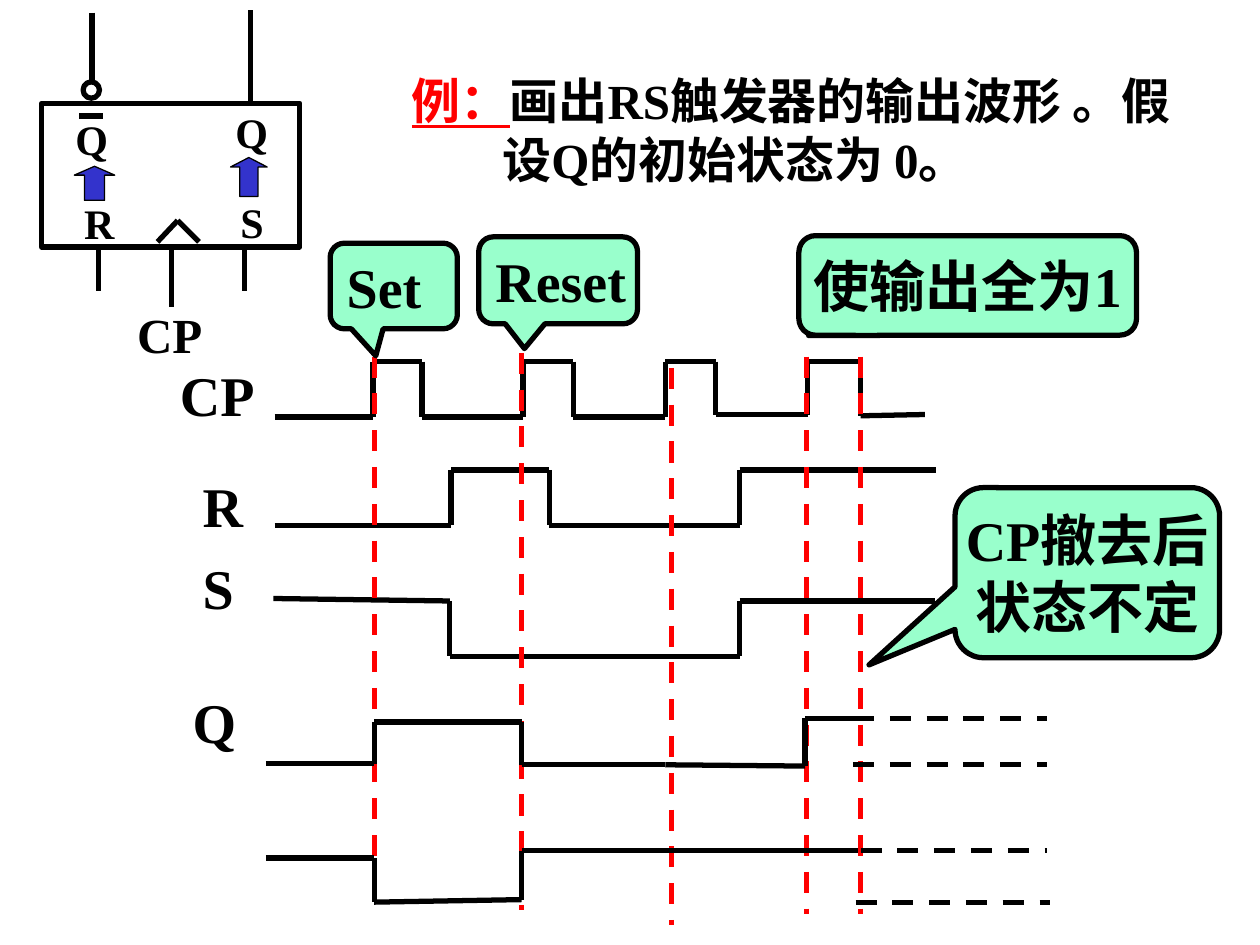
from itertools import pairwise
from lxml import etree
from pptx import Presentation
from pptx.dml.color import RGBColor
from pptx.enum.dml import MSO_LINE
from pptx.enum.shapes import MSO_CONNECTOR, MSO_SHAPE
from pptx.enum.text import MSO_ANCHOR, PP_ALIGN
from pptx.oxml.ns import qn
from pptx.util import Inches, Pt

COLORS = {"ink": "000000", "red": "FF0000", "mint": "99FFCC", "blue": "3333CC"}
FONT = "Times New Roman"

TITLE = [("例：", "red"), ("画出RS触发器的输出波形 。假设Q的初始状态为 0。", "ink")]
TITLE_BOX = (3.17, 0.51, 6.42, 1.04)

LABELS = [
    ("CP", 32, (1.33, 2.81, 1.08, 0.64)),
    ("R", 32, (1.51, 3.69, 1, 0.64)),
    ("S", 32, (1.51, 4.34, 0.55, 0.64)),
    ("Q", 32, (1.43, 5.41, 0.6, 0.64)),
    ("Q", 24, (0.5, 0.85, 0.51, 0.5)),
    ("Q", 24, (1.77, 0.8, 0.51, 0.5)),
    ("R", 24, (0.57, 1.52, 0.49, 0.5)),
    ("S", 24, (1.81, 1.51, 0.49, 0.5)),
    ("CP", 28, (0.99, 2.37, 0.72, 0.57)),
]

INPUT_WAVES = {
    "CP": [(2.18, 3.31), (2.96, 3.31), (2.96, 2.87), (3.35, 2.87), (3.35, 3.31),
           (4.15, 3.31), (4.15, 2.87), (4.55, 2.87), (4.55, 3.31), (5.28, 3.31),
           (5.28, 2.87), (5.68, 2.87), (5.68, 3.29), (6.41, 3.29), (6.41, 2.87),
           (6.83, 2.87), (6.83, 3.3), (7.34, 3.29)],
    "R": [(2.18, 4.17), (3.58, 4.17), (3.58, 3.73), (4.36, 3.73), (4.36, 4.17),
          (5.87, 4.17), (5.87, 3.73), (7.43, 3.73)],
    "S": [(2.17, 4.75), (3.57, 4.77), (3.57, 5.21), (5.87, 5.21), (5.87, 4.77),
          (7.42, 4.77)],
}
OUTPUT_WAVES = {
    "Q": [(2.11, 6.06), (2.97, 6.06), (2.97, 5.73), (4.14, 5.73), (4.14, 6.07),
          (5.28, 6.07), (6.39, 6.08), (6.39, 5.7), (6.81, 5.7)],
    "Q inverse": [(2.11, 6.81), (2.97, 6.81), (2.97, 7.16), (4.14, 7.14),
                  (4.14, 6.75), (5.33, 6.75), (6.81, 6.75)],
}
UNDEFINED_LEVELS = [(6.77, 5.7, 8.31), (6.77, 6.07, 8.31),
                    (6.83, 6.75, 8.31), (6.79, 7.16, 8.33)]
CLOCK_EDGES = [(2.97, 2.83, 7.14), (4.14, 2.8, 7.22), (5.33, 2.92, 7.34),
               (6.4, 2.83, 7.25), (6.83, 2.83, 7.25)]

CALLOUTS = [
    (["Set"], (2.62, 1.93, 1.01, 0.68), (-0.141, 0.815), PP_ALIGN.LEFT),
    (["Reset"], (3.8, 1.88, 1.26, 0.69), (-0.212, 0.785), PP_ALIGN.LEFT),
    (["使输出全为1"], (6.34, 1.87, 2.68, 0.79), (-0.471, 0.504), PP_ALIGN.CENTER),
    (["CP撤去后", "状态不定"], (7.58, 3.87, 2.1, 1.35), (-0.825, 0.542), PP_ALIGN.CENTER),
]

FLIP_FLOP_BODY = (0.33, 0.82, 2.05, 1.14)
INVERTER_BUBBLE = (0.66, 0.65, 0.13, 0.13)
OUTPUT_ARROWS = [(1.83, 1.25, 0.29, 0.31), (0.59, 1.32, 0.32, 0.27)]
FLIP_FLOP_WIRES = [
    [(0.63, 0.92), (0.82, 0.92)],
    [(0.73, 0.1), (0.73, 0.64)],
    [(1.99, 0.08), (1.99, 0.84)],
    [(0.78, 1.96), (0.78, 2.31)],
    [(1.36, 1.98), (1.36, 2.44)],
    [(1.94, 1.95), (1.94, 2.31)],
    [(1.25, 1.92), (1.41, 1.75), (1.58, 1.92)],
]

prs = Presentation()
prs.slide_width, prs.slide_height = Inches(10), Inches(7.5)
shapes = prs.slides.add_slide(prs.slide_layouts[6]).shapes


def rgb(color):
    return RGBColor.from_string(COLORS[color])


def style(font, size, color="ink"):
    font.name, font.size, font.bold = FONT, Pt(size), True
    font.color.rgb = rgb(color)


def add_path(points, color="ink", dashed=False):
    for start, end in pairwise(points):
        line = shapes.add_connector(MSO_CONNECTOR.STRAIGHT, *map(Inches, start + end))
        line.line.color.rgb = rgb(color)
        line.line.width = Pt(3)
        if dashed:
            line.line.dash_style = MSO_LINE.DASH
        etree.SubElement(line._element.spPr, qn("a:effectLst"))


def add_preset(preset, box, fill=None, width=3):
    shape = shapes.add_shape(preset, *map(Inches, box))
    shape.shadow.inherit = False
    if fill:
        shape.fill.solid()
        shape.fill.fore_color.rgb = rgb(fill)
    else:
        shape.fill.background()
    shape.line.color.rgb = rgb("ink")
    shape.line.width = Pt(width)
    return shape


def add_text(box):
    frame = shapes.add_textbox(*map(Inches, box)).text_frame
    frame.word_wrap = True
    return frame


title = add_text(TITLE_BOX).paragraphs[0]
indent = Inches(0.72)
title._p.get_or_add_pPr().set("marL", str(indent))
title._p.get_or_add_pPr().set("indent", str(-indent))
for words, color in TITLE:
    run = title.add_run()
    run.text = words
    style(run.font, 28, color)
    run.font.underline = color == "red"

for wave in INPUT_WAVES.values():
    add_path(wave)
for x, top, bottom in CLOCK_EDGES:
    add_path([(x, top), (x, bottom)], "red", dashed=True)

for lines, box, tip, align in CALLOUTS:
    callout = add_preset(MSO_SHAPE.ROUNDED_RECTANGULAR_CALLOUT, box, "mint")
    for index, value in enumerate((*tip, 0.167)):
        callout.adjustments[index] = value
    frame = callout.text_frame
    frame.text = "\n".join(lines)
    frame.word_wrap = False
    frame.vertical_anchor = MSO_ANCHOR.MIDDLE
    for paragraph in frame.paragraphs:
        paragraph.alignment = align
        style(paragraph.runs[0].font, 32)

for wave in OUTPUT_WAVES.values():
    add_path(wave)
for left, y, right in UNDEFINED_LEVELS:
    add_path([(left, y), (right, y)], dashed=True)

add_preset(MSO_SHAPE.RECTANGLE, FLIP_FLOP_BODY)
add_preset(MSO_SHAPE.OVAL, INVERTER_BUBBLE)
for box in OUTPUT_ARROWS:
    add_preset(MSO_SHAPE.UP_ARROW, box, "blue", 0.75).adjustments[1] = 0.26
for wire in FLIP_FLOP_WIRES:
    add_path(wire)

for words, size, box in LABELS:
    label = add_text(box)
    label.text = words
    style(label.paragraphs[0].runs[0].font, size)

prs.save("out.pptx")
